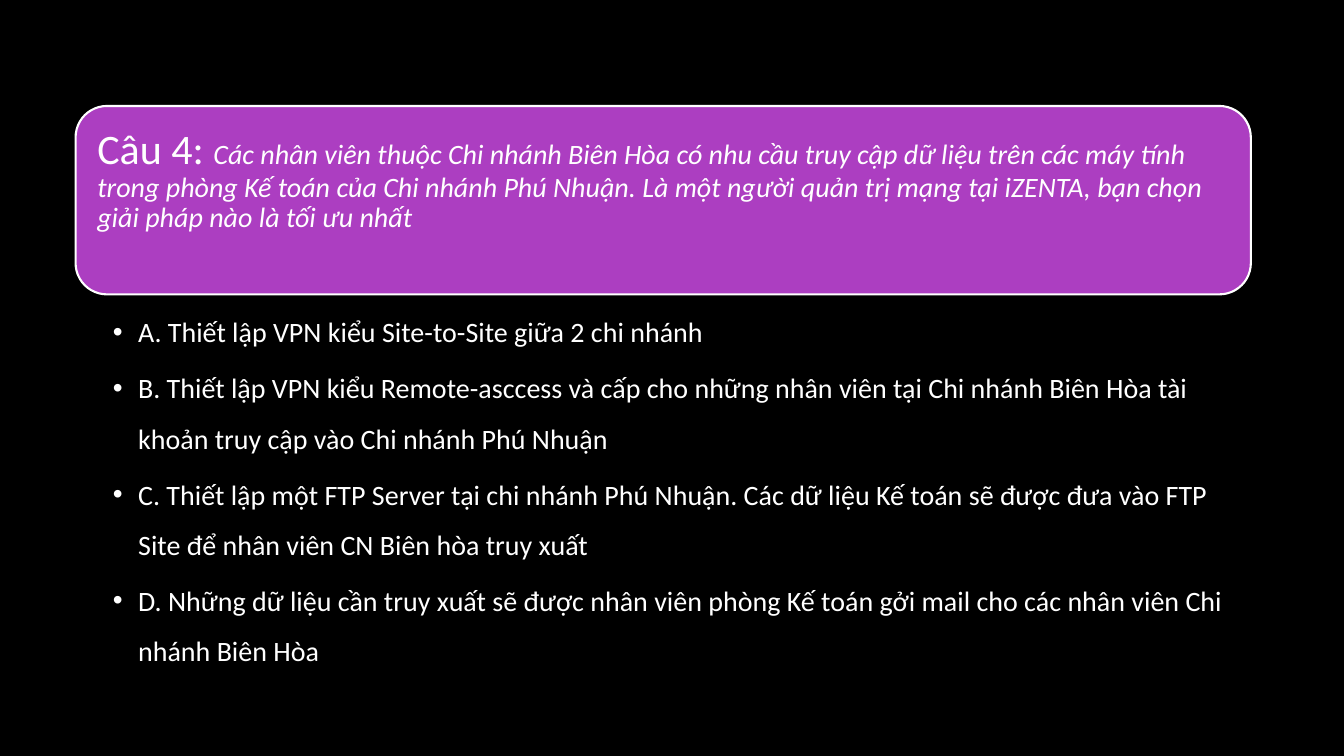
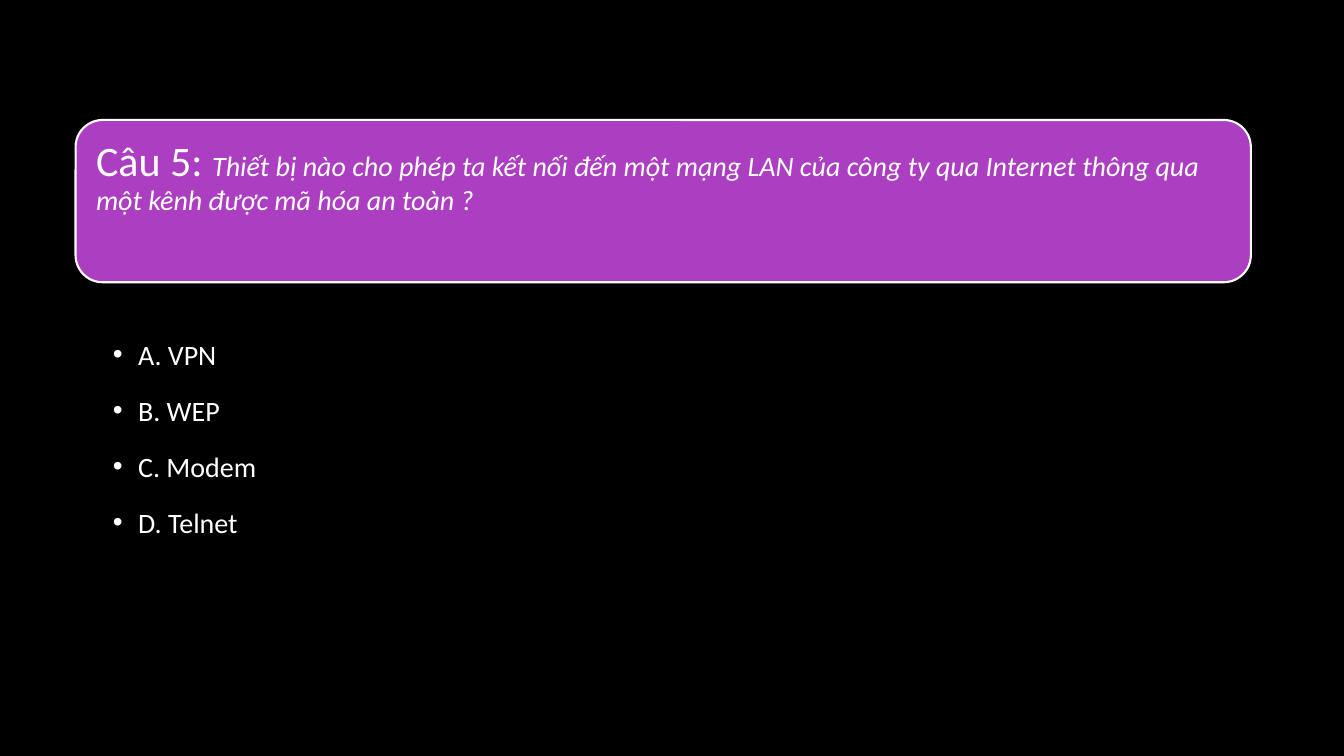
from dataclasses import dataclass

from lxml.etree import SubElement
from pptx import Presentation
from pptx.dml.color import RGBColor as RGB
from pptx.enum.shapes import MSO_SHAPE as Shape
from pptx.enum.text import MSO_ANCHOR as Anchor, PP_ALIGN as Align
from pptx.oxml.ns import qn
from pptx.util import Pt


@dataclass(frozen=True)
class Theme:
    background: RGB = RGB(0x00, 0x00, 0x00)
    card: RGB = RGB(0xAC, 0x3E, 0xC1)
    ink: RGB = RGB(0xFF, 0xFF, 0xFF)
    font: str = "Calibri"
    label_size: float = 30
    body_size: float = 20
    outline: float = 1.5
    indent: float = 18


THEME = Theme()
LEFT, WIDTH = 54, 839.5

QUIZ = [
    {
        "label": "Câu 4: ",
        "question": "Các nhân viên thuộc Chi nhánh Biên Hòa có nhu cầu truy cập dữ liệu trên các máy tính trong phòng Kế toán của Chi nhánh Phú Nhuận. Là một người quản trị mạng tại iZENTA, bạn chọn giải pháp nào là tối ưu nhất",
        "answers": [
            "A. Thiết lập VPN kiểu Site-to-Site giữa 2 chi nhánh",
            "B. Thiết lập VPN kiểu Remote-asccess và cấp cho những nhân viên tại Chi nhánh Biên Hòa tài khoản truy cập vào Chi nhánh Phú Nhuận",
            "C. Thiết lập một FTP Server tại chi nhánh Phú Nhuận. Các dữ liệu Kế toán sẽ được đưa vào FTP Site để nhân viên CN Biên hòa truy xuất",
            "D. Những dữ liệu cần truy xuất sẽ được nhân viên phòng Kế toán gởi mail cho các nhân viên Chi nhánh Biên Hòa",
        ],
        "card_box": (LEFT, 75.7, WIDTH, 134.6),
        "answers_box": (LEFT, 210.8, WIDTH, 276.5),
    },
    {
        "label": "Câu 5: ",
        "question": "Thiết bị nào cho phép ta kết nối đến một mạng LAN của công ty qua Internet thông qua một kênh được mã hóa an toàn ?",
        "answers": ["A. VPN", "B. WEP", "C. Modem", "D. Telnet"],
        "card_box": (LEFT, 85.7, WIDTH, 115.9),
        "answers_box": (LEFT, 226.8, WIDTH, 185.8),
    },
]


def add_text(paragraph, text, size=THEME.body_size, italic=False, color=THEME.ink):
    run = paragraph.add_run()
    run.text = text
    font = run.font
    font.name, font.size, font.italic = THEME.font, Pt(size), italic
    font.color.rgb = color


def set_frame(frame, left, top, right, bottom):
    frame.word_wrap = True
    frame.vertical_anchor = Anchor.TOP
    frame.margin_left, frame.margin_top = Pt(left), Pt(top)
    frame.margin_right, frame.margin_bottom = Pt(right), Pt(bottom)


def set_bullet(paragraph):
    properties = paragraph._p.get_or_add_pPr()
    properties.set("marL", str(Pt(THEME.indent)))
    properties.set("indent", str(-Pt(THEME.indent)))
    SubElement(properties, qn("a:buFont"), typeface="Arial")
    SubElement(properties, qn("a:buChar"), char="•")


def add_question_card(slide, box, label, question):
    card = slide.shapes.add_shape(Shape.ROUNDED_RECTANGLE, *map(Pt, box))
    card.shadow.inherit = False
    card.fill.solid()
    card.fill.fore_color.rgb = THEME.card
    card.line.color.rgb = THEME.ink
    card.line.width = Pt(THEME.outline)
    set_frame(card.text_frame, 9, 9, 9, 9)
    paragraph = card.text_frame.paragraphs[0]
    paragraph.alignment = Align.LEFT
    paragraph.line_spacing = 0.9
    add_text(paragraph, label, size=THEME.label_size)
    add_text(paragraph, question, italic=True)


def add_answers(slide, box, answers):
    frame = slide.shapes.add_textbox(*map(Pt, box)).text_frame
    set_frame(frame, 26.7, 2, 11.5, 2)
    for index, answer in enumerate(answers):
        paragraph = frame.add_paragraph() if index else frame.paragraphs[0]
        set_bullet(paragraph)
        paragraph.level = 1
        paragraph.line_spacing = 1.5
        paragraph.space_after = Pt(4)
        add_text(paragraph, answer)


def add_quiz_slide(deck, label, question, answers, card_box, answers_box):
    slide = deck.slides.add_slide(deck.slide_layouts[6])
    add_question_card(slide, card_box, label, question)
    add_answers(slide, answers_box, answers)


def main():
    deck = Presentation()
    deck.slide_width, deck.slide_height = Pt(960), Pt(540)
    backdrop = deck.slide_master.background.fill
    backdrop.solid()
    backdrop.fore_color.rgb = THEME.background
    for item in QUIZ:
        add_quiz_slide(deck, **item)
    deck.save("out.pptx")


if __name__ == "__main__":
    main()
